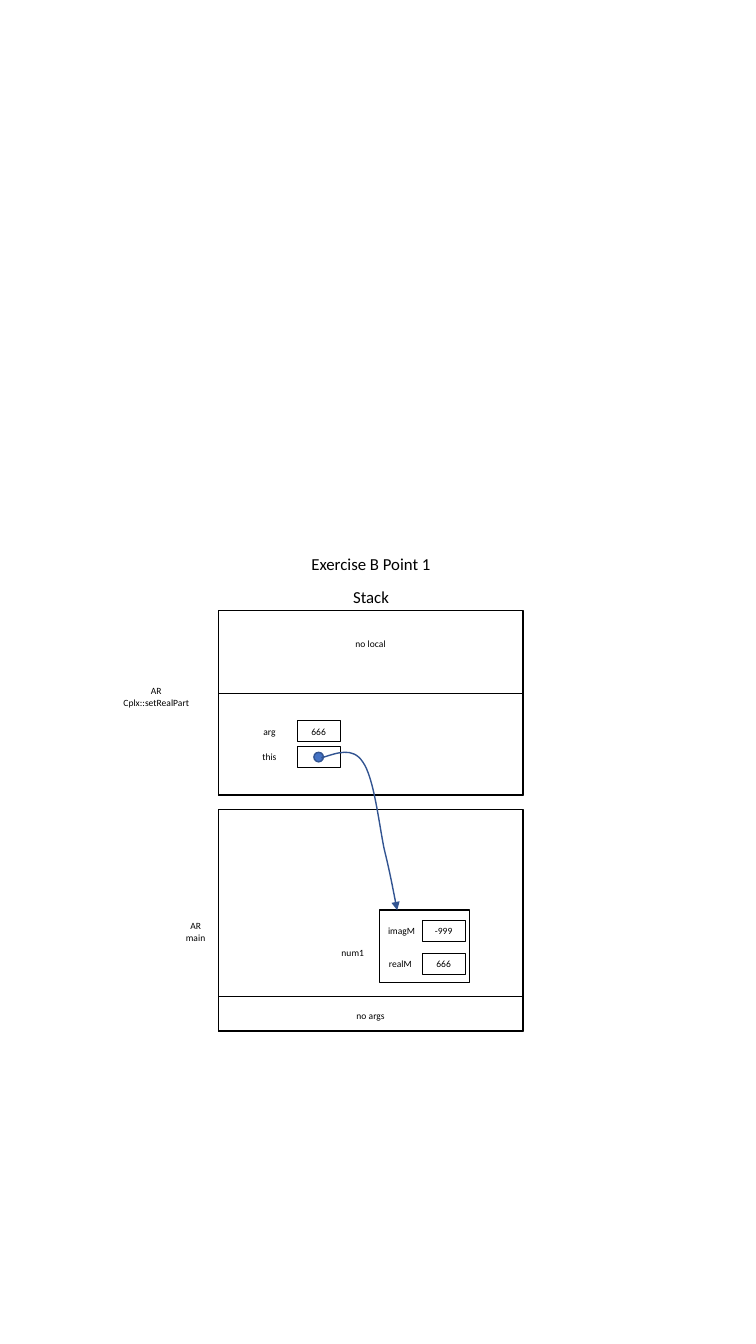
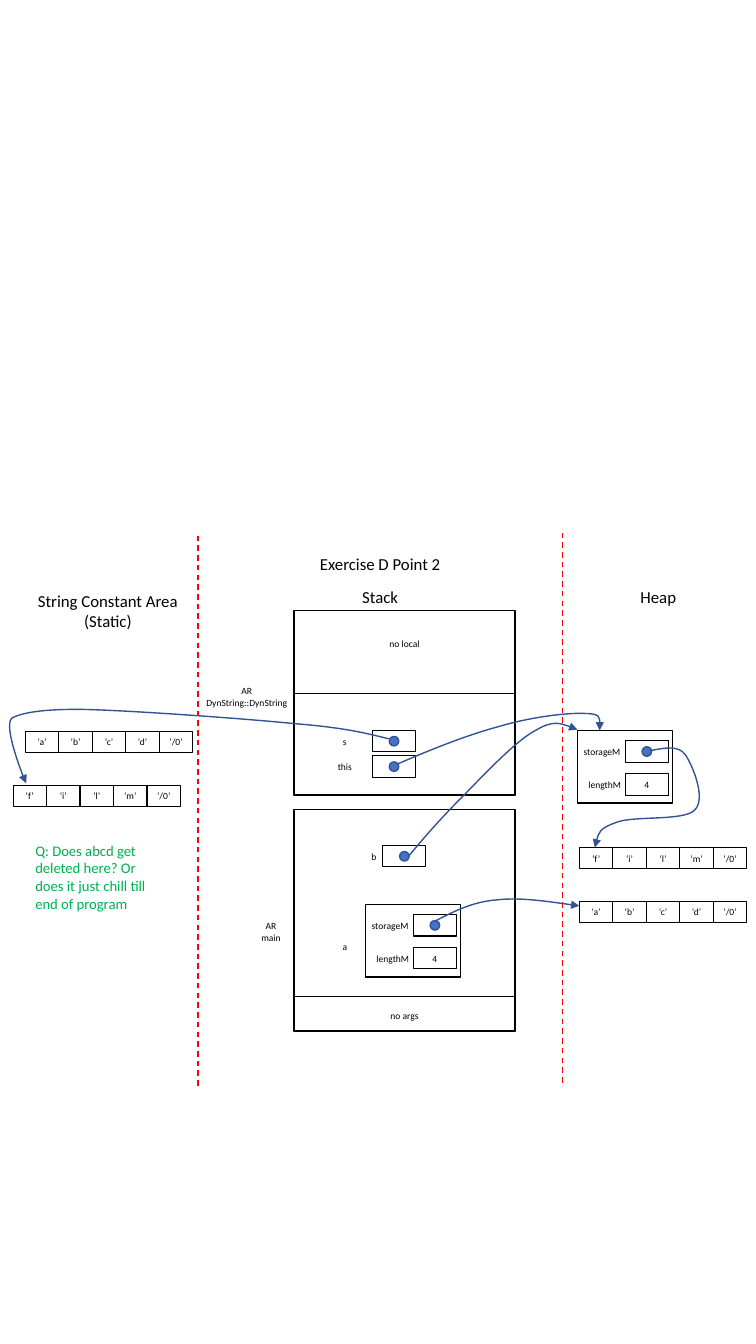
from lxml import etree
from pptx import Presentation
from pptx.dml.color import RGBColor
from pptx.enum.dml import MSO_LINE
from pptx.enum.shapes import MSO_CONNECTOR, MSO_SHAPE
from pptx.enum.text import MSO_ANCHOR, MSO_AUTO_SIZE, PP_ALIGN
from pptx.oxml.ns import qn
from pptx.util import Cm, Pt

RECT, OVAL = MSO_SHAPE.RECTANGLE, MSO_SHAPE.OVAL
STRAIGHT, DASH = MSO_CONNECTOR.STRAIGHT, MSO_LINE.DASH
CENTER, LEFT = PP_ALIGN.CENTER, PP_ALIGN.LEFT
MIDDLE, NO_FIT = MSO_ANCHOR.MIDDLE, MSO_AUTO_SIZE.NONE

COLORS = {"ink": "000000", "paper": "FFFFFF", "dot": "4472C4",
          "arrow": "325491", "divider": "FF0000", "question": "00B050"}
FONT = "Calibri"
SMALL, MEDIUM, LARGE = 6.8, 10.5, 12

# Shared geometry, in centimetres
PAGE = (19.05, 33.87)
TITLE_Y, HEADING_Y, HEADING_H = 14.22, 15.04, 0.76
FRAMES = [(15.39, 17.48, 20.04), (20.4, 25.12, 25.98)]  # top, divider, bottom
FRAME_NOTES = [("no local", 16.22), ("no args", 25.59)]
FRAME_NAME_YS = (17.56, 23.48)
CELL_W, CELL_H = 1.08, 0.54
LETTER_W = 4.22 / 5
LABEL_W, FRAME_NAME_W = 1.37, 3.15
DOT = 0.24
RECORD_H, RECORD_PAD, FIELD_Y, FIELD_STEP = 1.83, 0.11, 0.53, 0.83
POINTER = None

NUM1_FIELDS = [("imagM", 0.56, "-999"), ("realM", 0.53, "666")]
STRING_FIELDS = [("storageM", 0.62, POINTER), ("lengthM", 0.69, "4")]
ABCD = ["‘a’", "‘b’", "‘c’", "‘d’", "‘/0’"]
FILM = ["‘f’", "‘i’", "‘l’", "‘m’", "‘/0’"]

SLIDES = [
    {
        "title": "Exercise B Point 1",
        "title_x": 9.35,
        "stack": (5.5, 7.68),  # left, width
        "headings": [("Stack", 9.35, HEADING_Y, 7.68, HEADING_H)],
        "frame_names": [("AR\nCplx::setRealPart", 3.94), ("AR\nmain", 4.93)],
        # name, distance to cell centre, cell centre x and y, value
        "variables": [("arg", 1.24, 8.03, 18.43, "666"),
                      ("this", 1.24, 8.03, 19.08, POINTER)],
        "record_names": [("num1", 8.89, 24.02)],
        # left, top, width, fields
        "records": [(9.56, 22.93, 2.27, NUM1_FIELDS)],
        "strings": [],
        "dividers": [],
        "questions": [],
        # start point, then three points for each curve
        "arrows": [
            [(8.1, 19.1), (8.51, 18.97), (8.89, 18.82), (9.14, 19.2),
             (9.42, 19.58), (9.55, 20.75), (9.68, 21.39),
             (9.83, 22), (9.91, 22.45), (10.01, 22.94)],
        ],
    },
    {
        "title": "Exercise D Point 2",
        "title_x": 9.58,
        "stack": (7.41, 5.57),
        "headings": [("Stack", 9.58, HEADING_Y, 9.14, HEADING_H),
                     ("Heap", 16.59, HEADING_Y, 4, HEADING_H),
                     ("String Constant Area\n(Static)", 2.72, 15.39, 4.62, 1.42)],
        "frame_names": [("AR\nDynString::DynString", 6.22), ("AR\nmain", 6.83)],
        "variables": [("s", 1.24, 9.93, 18.68, POINTER),
                      ("this", 1.24, 9.93, 19.32, POINTER),
                      ("b", 0.77, 10.19, 21.58, POINTER)],
        "record_names": [("a", 8.69, 23.86)],
        "records": [(9.21, 22.79, 2.4, STRING_FIELDS),
                    (14.55, 18.41, 2.4, STRING_FIELDS)],
        # left, top, letters
        "strings": [(0.64, 18.43, ABCD), (0.33, 19.79, FILM),
                    (14.6, 21.36, FILM), (14.6, 22.71, ABCD)],
        # x, bottom, top
        "dividers": [(4.99, 27.36, 13.44), (14.17, 27.28, 13.36)],
        "questions": [("Q: Does abcd get deleted here? Or does it just chill "
                       "till end of program", 0.64, 20.85, 3.28, 2.49)],
        "arrows": [
            [(9.8, 18.62), (9.27, 18.49), (8.71, 18.34), (7.44, 18.24),
             (6.17, 18.11), (3.35, 17.91), (2.16, 17.88),
             (0.99, 17.86), (0.56, 17.98), (0.33, 18.08),
             (0.08, 18.19), (0.58, 19.61), (0.66, 19.74)],
            [(10.95, 23.22), (11.4, 22.99), (11.89, 22.73), (12.5, 22.68),
             (13.11, 22.61), (13.87, 22.73), (14.6, 22.83)],
            [(16.38, 18.92), (16.74, 18.85), (17.09, 18.77), (17.27, 19.02),
             (17.45, 19.28), (17.81, 20.14), (17.5, 20.42),
             (17.22, 20.7), (15.93, 20.55), (15.52, 20.73),
             (15.09, 20.88), (15.04, 21.11), (14.99, 21.36)],
            [(10.29, 21.59), (10.72, 21.06), (11.18, 20.55), (11.71, 20.02),
             (12.24, 19.48), (13, 18.67), (13.49, 18.41),
             (13.94, 18.14), (14.25, 18.26), (14.55, 18.39)],
            [(10.03, 19.25), (10.9, 18.87), (11.79, 18.52), (12.57, 18.31),
             (13.34, 18.08), (14.27, 17.96), (14.71, 17.98),
             (15.14, 17.98), (15.14, 18.19), (15.11, 18.41)],
        ],
    },
]


def rgb(color):
    """Look up a named colour."""
    return RGBColor.from_string(COLORS[color])


def set_all(target, values):
    """Set each attribute of a dict on the target."""
    for name, value in values.items():
        setattr(target, name, value)


def write(shape, text, size=SMALL, color="ink", align=CENTER):
    """Fill a shape with formatted text; centred text has no side margins."""
    frame = shape.text_frame
    frame.text = text
    set_all(frame, {"word_wrap": True, "auto_size": NO_FIT,
                    "vertical_anchor": MIDDLE})
    if align == CENTER:
        set_all(frame, {"margin_left": 0, "margin_right": 0})
    for paragraph in frame.paragraphs:
        paragraph.alignment = align
        set_all(paragraph.font, {"name": FONT, "size": Pt(size)})
        paragraph.font.color.rgb = rgb(color)


def label(slide, text, x, y, width=LABEL_W, height=CELL_H, size=SMALL):
    """Add text centred on a point."""
    box = slide.shapes.add_textbox(Cm(x - width / 2), Cm(y - height / 2),
                                   Cm(width), Cm(height))
    write(box, text, size)


def outline(shape, color, weight, fill=None):
    """Give a shape its line and fill, without shadow."""
    shape.shadow.inherit = False
    shape.line.color.rgb = rgb(color)
    shape.line.width = Pt(weight)
    if fill:
        shape.fill.solid()
        shape.fill.fore_color.rgb = rgb(fill)
    else:
        shape.fill.background()


def box(slide, left, top, width, height, weight=1, fill=None):
    """Add a black-edged rectangle."""
    rectangle = slide.shapes.add_shape(RECT, Cm(left), Cm(top),
                                       Cm(width), Cm(height))
    outline(rectangle, "ink", weight, fill)
    return rectangle


def cell(slide, x, y, value, width=CELL_W):
    """Add a memory cell centred on a point, with a value or a pointer dot."""
    holder = box(slide, x - width / 2, y - CELL_H / 2, width, CELL_H, 0.75)
    if value is not POINTER:
        write(holder, value)
        return
    dot = slide.shapes.add_shape(OVAL, Cm(x - DOT / 2), Cm(y - DOT / 2),
                                 Cm(DOT), Cm(DOT))
    outline(dot, "arrow", 1, "dot")


def record(slide, left, top, width, fields):
    """Add an object box with one labelled cell per field."""
    cell_x = left + width - RECORD_PAD - CELL_W / 2
    for row, (name, offset, value) in enumerate(fields):
        y = top + FIELD_Y + row * FIELD_STEP
        cell(slide, cell_x, y, value)
        label(slide, name, left + offset, y)
    box(slide, left, top, width, RECORD_H)


def arrow(slide, points):
    """Add a curved arrow through cubic segments."""
    start, *controls = [(Cm(x), Cm(y)) for x, y in points]
    builder = slide.shapes.build_freeform(*start)
    builder.add_line_segments(controls, close=False)
    curve = builder.convert_to_shape()
    outline(curve, "arrow", 1)
    properties = curve._element.spPr
    track = next(properties.iter(qn("a:path")))
    segments = track.findall(qn("a:lnTo"))
    for first in range(0, len(segments), 3):
        cubic = etree.SubElement(track, qn("a:cubicBezTo"))
        for segment in segments[first:first + 3]:
            cubic.append(segment[0])
            track.remove(segment)
    etree.SubElement(properties.find(qn("a:ln")), qn("a:tailEnd"), type="triangle")


def divider(slide, x, bottom, top):
    """Add a dashed line between memory areas."""
    border = slide.shapes.add_connector(STRAIGHT, Cm(x), Cm(bottom), Cm(x), Cm(top))
    border.line.color.rgb = rgb("divider")
    set_all(border.line, {"width": Pt(1), "dash_style": DASH})
    etree.SubElement(border._element.spPr, qn("a:effectLst"))


def stack(slide, left, width, frame_names):
    """Add the activation records with their names and notes."""
    for top, split, bottom in FRAMES:
        for edge in (top, split):
            box(slide, left, edge, width, bottom - edge, fill="paper")
    for note, y in FRAME_NOTES:
        label(slide, note, left + width / 2, y, width)
    for (name, x), y in zip(frame_names, FRAME_NAME_YS):
        label(slide, name, x, y, FRAME_NAME_W, 0.84)


def memory_slide(deck, content):
    """Build one memory diagram."""
    slide = deck.slides.add_slide(deck.slide_layouts[5])
    left, width = content["stack"]
    title = slide.shapes.title
    title_w = 7.68
    set_all(title, {"left": Cm(content["title_x"] - title_w / 2),
                    "top": Cm(TITLE_Y - HEADING_H / 2),
                    "width": Cm(title_w), "height": Cm(HEADING_H)})
    write(title, content["title"], LARGE)
    stack(slide, left, width, content["frame_names"])
    for heading in content["headings"]:
        label(slide, *heading, size=LARGE)
    for name, gap, x, y, value in content["variables"]:
        label(slide, name, x - gap, y, min(LABEL_W, 2 * gap - CELL_W))
        cell(slide, x, y, value)
    for name in content["record_names"]:
        label(slide, *name)
    for fields in content["records"]:
        record(slide, *fields)
    for string_left, top, letters in content["strings"]:
        for index, letter in enumerate(letters):
            cell(slide, string_left + (index + 0.5) * LETTER_W,
                 top + CELL_H / 2, letter, LETTER_W)
    for border in content["dividers"]:
        divider(slide, *border)
    for points in content["arrows"]:
        arrow(slide, points)
    for text, *place in content["questions"]:
        question = slide.shapes.add_textbox(*map(Cm, place))
        write(question, text, MEDIUM, "question", LEFT)


deck = Presentation()
deck.slide_width, deck.slide_height = map(Cm, PAGE)
for content in SLIDES:
    memory_slide(deck, content)
deck.save("out.pptx")
